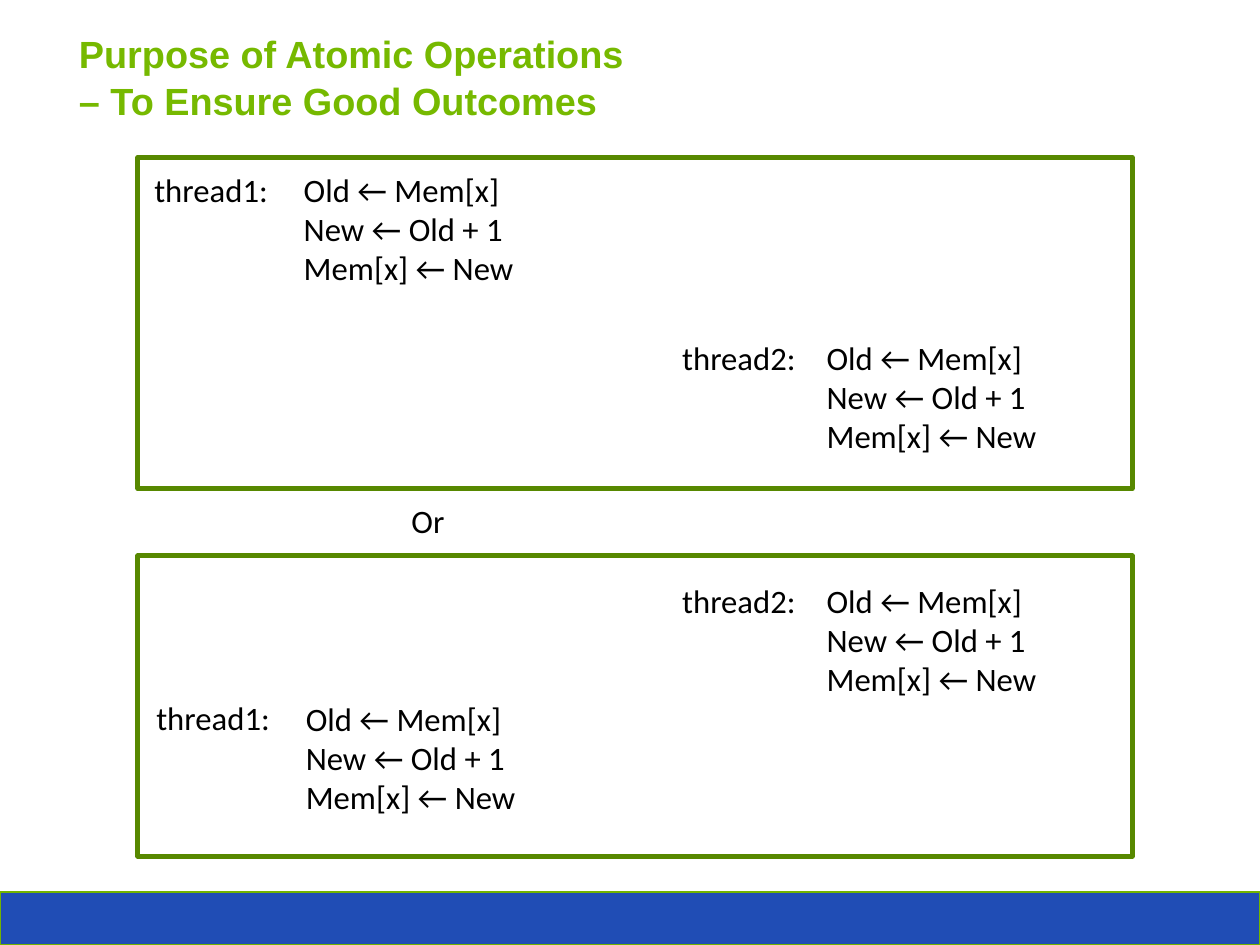
from dataclasses import dataclass

from pptx import Presentation
from pptx.dml.color import RGBColor
from pptx.enum.shapes import MSO_SHAPE as Shape
from pptx.enum.text import MSO_ANCHOR as Anchor, MSO_AUTO_SIZE as AutoSize, PP_ALIGN as Align
from pptx.util import Inches, Pt


@dataclass(frozen=True)
class Theme:
    """Colours, fonts and sizes of the slide."""
    title_color: str = "76B900"
    text_color: str = "000000"
    frame_color: str = "578800"
    bar_fill: str = "204DB5"
    bar_line: str = "72B400"
    title_font: str = "Arial"
    text_font: str = "Calibri"
    title_size: float = 16.2
    text_size: float = 14


THEME = Theme()
CELL = Inches(0.1)
COLUMNS, ROWS = 75, 56.25
BAR_ROWS = 3.13
FRAME_LEFT, FRAME_WIDTH = 8.2, 59.2
LABEL_WIDTH, CODE_WIDTH = 8.9, 14.7
LINE_ROWS, CODE_ROWS = 3.4, 8.1
STEPS = ("Old ← Mem[x]", "New ← Old + 1", "Mem[x] ← New")
FRAMES = (
    (9.38, 19.7, (("thread1:", 0, 8.9, 0.22), ("thread2:", 31.42, 40.02, 10.22))),
    (33.08, 17.9, (("thread2:", 31.42, 40.02, 1), ("thread1:", 0.12, 9.02, 8))),
)


def grid(*cells):
    """Turn grid columns and rows into lengths."""
    return [round(cell * CELL) for cell in cells]


def add_run(para, text, font, size, color, bold=False):
    """Add one formatted run to a paragraph."""
    span = para.add_run()
    span.text = text
    span.font.name = font
    span.font.size = Pt(size)
    span.font.bold = bold
    span.font.color.rgb = RGBColor.from_string(color)


def add_title(page, lines):
    """Place and fill the title placeholder."""
    title = page.shapes.title
    title.left, title.top, title.width, title.height = grid(3.7, 1.3, 70.5, 4.8)
    frame = title.text_frame
    frame.word_wrap = True
    frame.auto_size = AutoSize.NONE
    frame.vertical_anchor = Anchor.TOP
    para = frame.paragraphs[0]
    para.alignment = Align.LEFT
    para.line_spacing = 1.02
    for index, line in enumerate(lines):
        if index:
            para.add_line_break()
        add_run(para, line, THEME.title_font, THEME.title_size, THEME.title_color, True)


def add_text(page, cells, lines, align=Align.LEFT, wrap=False):
    """Add a text box with one paragraph per line."""
    box = page.shapes.add_textbox(*grid(*cells))
    frame = box.text_frame
    frame.word_wrap = wrap
    frame.auto_size = AutoSize.SHAPE_TO_FIT_TEXT
    for index, line in enumerate(lines):
        para = frame.add_paragraph() if index else frame.paragraphs[0]
        para.alignment = align
        add_run(para, line, THEME.text_font, THEME.text_size, THEME.text_color)


def add_box(page, cells, line, width, fill=None):
    """Add an outlined rectangle, filled when a colour is given."""
    box = page.shapes.add_shape(Shape.RECTANGLE, *grid(*cells))
    box.shadow.inherit = False
    box.line.color.rgb = RGBColor.from_string(line)
    box.line.width = Pt(width)
    if fill:
        box.fill.solid()
        box.fill.fore_color.rgb = RGBColor.from_string(fill)
    else:
        box.fill.background()


def add_ordering(page, top, height, threads):
    """Add a frame holding the two threads in their order."""
    add_box(page, (FRAME_LEFT, top, FRAME_WIDTH, height), THEME.frame_color, 2)
    for name, label_column, code_column, row in threads:
        add_text(page, (FRAME_LEFT + label_column, top + row, LABEL_WIDTH, LINE_ROWS), [name])
        add_text(page, (FRAME_LEFT + code_column, top + row, CODE_WIDTH, CODE_ROWS), STEPS)


def main():
    """Build and save the slide."""
    deck = Presentation()
    deck.slide_width, deck.slide_height = grid(COLUMNS, ROWS)
    page = deck.slides.add_slide(deck.slide_layouts[5])
    add_box(page, (0, ROWS - BAR_ROWS, COLUMNS, BAR_ROWS), THEME.bar_line, 0.75, THEME.bar_fill)
    add_title(page, ("Purpose of Atomic Operations ", "– To Ensure Good Outcomes"))
    for top, height, threads in FRAMES:
        add_ordering(page, top, height, threads)
    add_text(page, (17.9, 29.3, 15.6, LINE_ROWS), ["Or "], Align.CENTER, True)
    deck.save("out.pptx")


if __name__ == "__main__":
    main()
